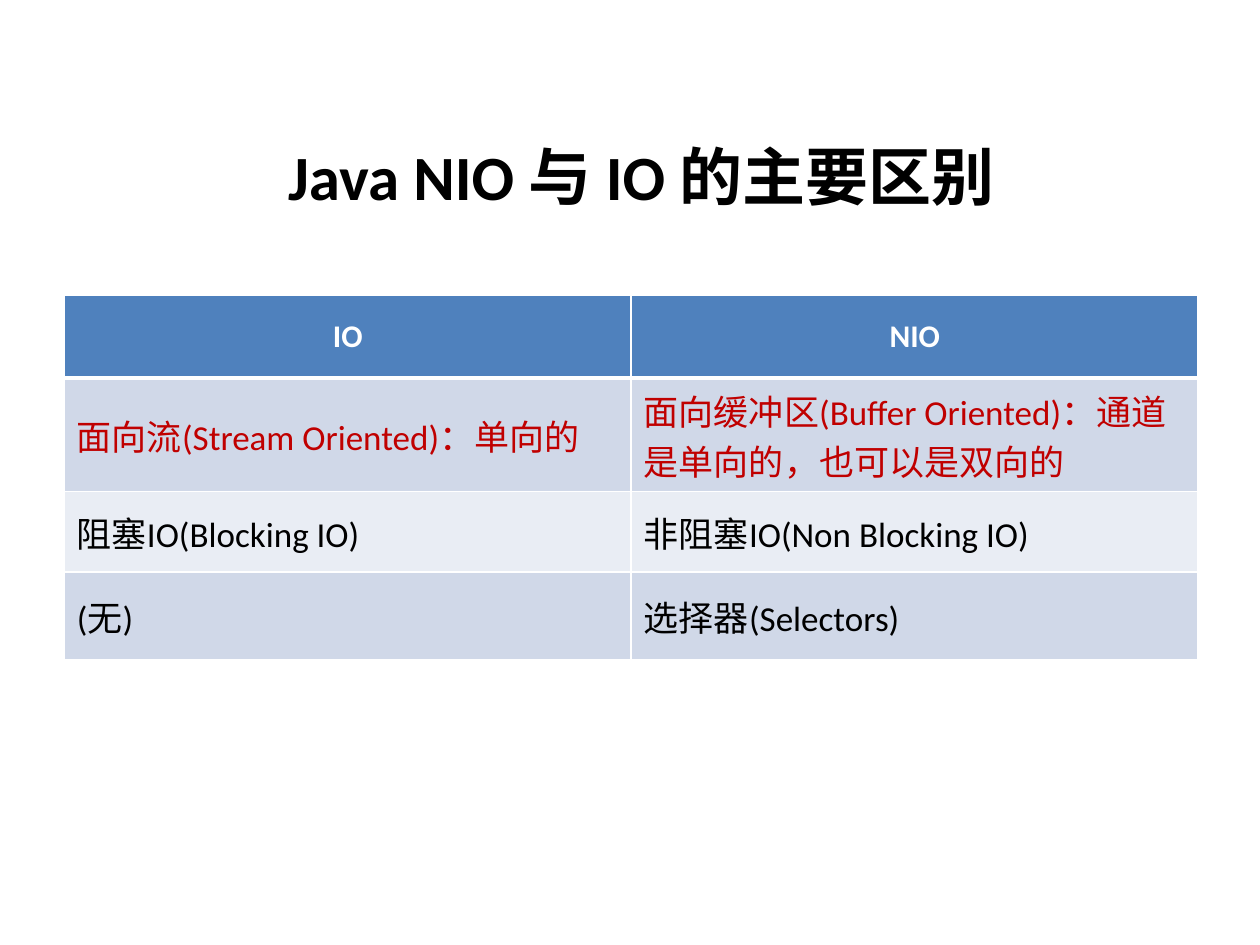
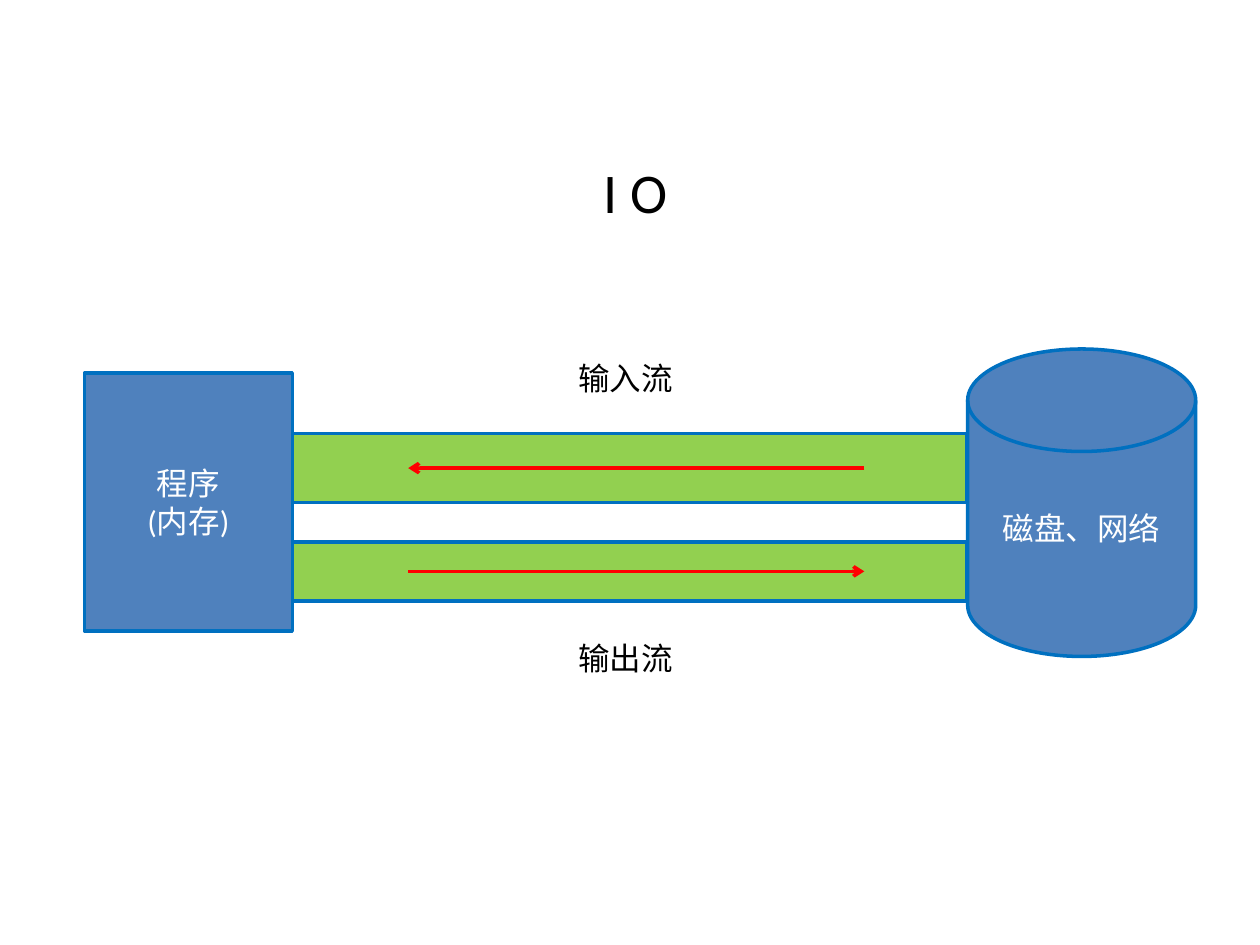
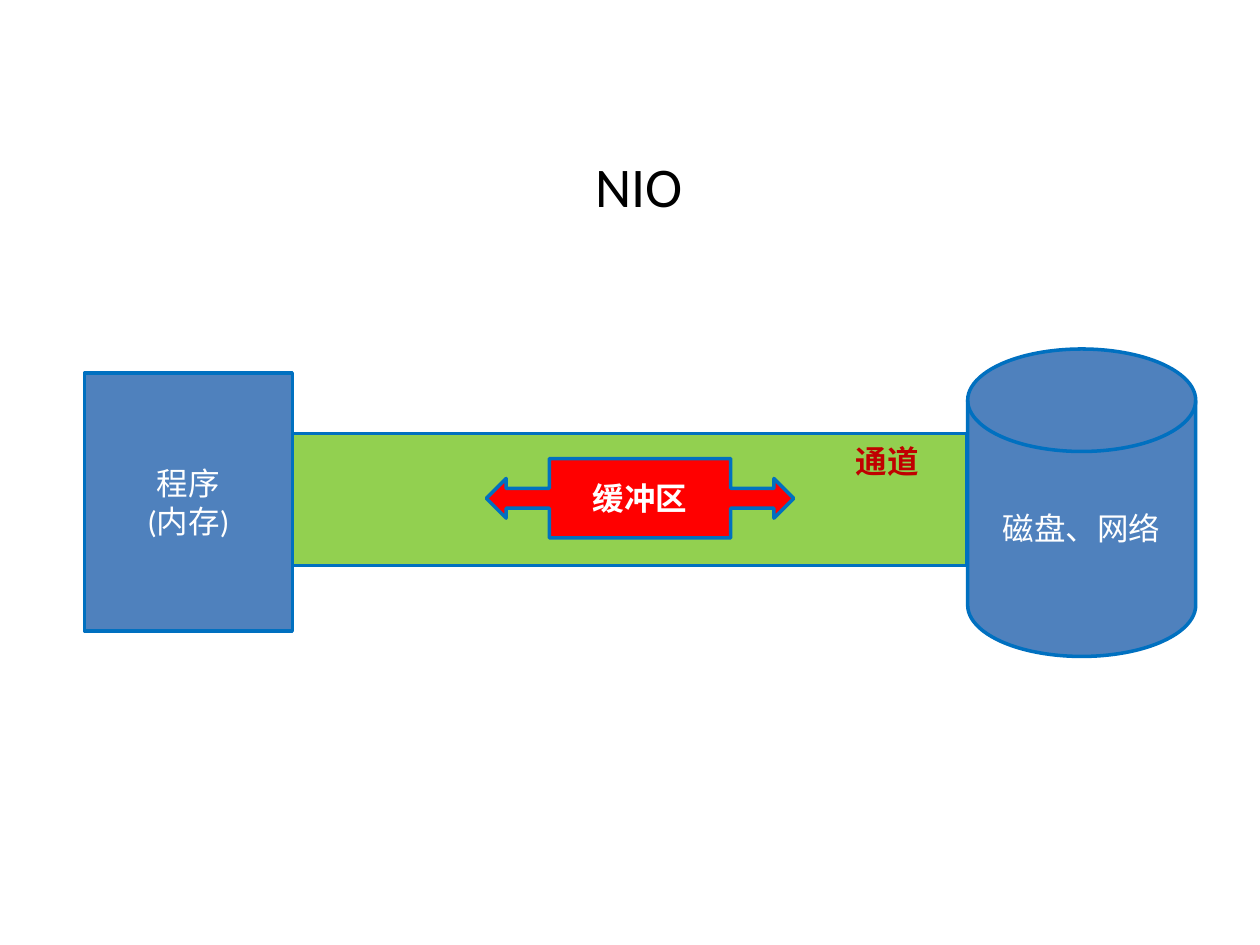
"""Build three slides that compare Java IO with Java NIO."""
from dataclasses import dataclass

from lxml.etree import SubElement
from pptx import Presentation
from pptx.dml.color import RGBColor
from pptx.enum.shapes import MSO_CONNECTOR, MSO_SHAPE
from pptx.enum.text import MSO_ANCHOR, PP_ALIGN
from pptx.oxml.ns import qn
from pptx.util import Inches, Pt


@dataclass(frozen=True)
class Theme:
    latin: str = "Calibri"
    asian: str = "Noto Sans CJK SC"
    white: str = "FFFFFF"
    black: str = "000000"
    blue: str = "4F81BD"
    outline: str = "0070C0"
    green: str = "92D050"
    red: str = "FF0000"
    dark_red: str = "C00000"
    bands: tuple = ("D0D8E8", "E9EDF4")
    title: int = 36
    heading: int = 32
    cell: int = 20
    label: int = 18
    line: int = 2


THEME = Theme()

TITLE = ("Java NIO 与 IO 的主要区别", (0.59, 0.92, 9, 0.94))
COMPARISON = [
    ("IO", "NIO"),
    ("面向流(Stream Oriented)：单向的",
     "面向缓冲区(Buffer Oriented)：通道是单向的，也可以是双向的"),
    ("阻塞IO(Blocking IO)", "非阻塞IO(Non Blocking IO)"),
    ("(无)", "选择器(Selectors)"),
]
ROW_HEIGHTS = (0.66, 0.9, 0.64, 0.7)
TABLE_PLACE = (0.51, 2.34, 9, sum(ROW_HEIGHTS))
HIGHLIGHTED_ROW = 1

ENDPOINTS = [
    (MSO_SHAPE.RECTANGLE, (0.67, 2.96, 1.65, 2.05), "程序\n(内存)"),
    (MSO_SHAPE.FLOWCHART_MAGNETIC_DISK, (7.68, 2.77, 1.81, 2.44), "磁盘、网络"),
]
PIPE_LEFT, PIPE_WIDTH = 2.32, 5.35
ARROW_LEFT, ARROW_RIGHT = 3.24, 6.86
STREAMS = [
    {"label": "输入流", "label_top": 2.8, "top": 3.44, "height": 0.55,
     "start": ARROW_RIGHT, "end": ARROW_LEFT},
    {"label": "输出流", "label_top": 5.02, "top": 4.3, "height": 0.47,
     "start": ARROW_LEFT, "end": ARROW_RIGHT},
]
STREAM_HEADING = ("I O", (3.63, 1.2, 2.83, 0.64))
CHANNEL_HEADING = ("NIO", (3.66, 1.15, 2.83, 0.64))
CHANNEL = (3.44, 1.05)
CHANNEL_LABEL = ("通道", (6.5, 3.46, 1.08, 0.4))
BUFFER = ("缓冲区", (3.86, 3.64, 2.44, 0.63), (0.25, 0.25, 0.25, 0.59))


def inches(place):
    return [Inches(length) for length in place]


def color(value):
    return RGBColor.from_string(value)


def write(frame, text, size, text_color, bold=False, align=PP_ALIGN.CENTER,
          latin=THEME.latin):
    frame.text = text
    for paragraph in frame.paragraphs:
        paragraph.alignment = align
        font = paragraph.font
        font.name, font.size, font.bold = latin, Pt(size), bold
        font.color.rgb = color(text_color)
        properties = paragraph._p.pPr.find(qn("a:defRPr"))
        SubElement(properties, qn("a:ea"), typeface=THEME.asian)


def add_text(page, text, place, size, text_color=THEME.black,
             anchor=MSO_ANCHOR.TOP, **style):
    box = page.shapes.add_textbox(*inches(place))
    box.text_frame.word_wrap = True
    box.text_frame.vertical_anchor = anchor
    write(box.text_frame, text, size, text_color, **style)


def add_block(page, kind, place, fill, text="", **style):
    block = page.shapes.add_shape(kind, *inches(place))
    block.shadow.inherit = False
    block.fill.solid()
    block.fill.fore_color.rgb = color(fill)
    block.line.color.rgb = color(THEME.outline)
    block.line.width = Pt(THEME.line)
    if text:
        block.text_frame.vertical_anchor = MSO_ANCHOR.MIDDLE
        write(block.text_frame, text, THEME.label, THEME.white, **style)
    return block


def add_pipe(page, top, height):
    add_block(page, MSO_SHAPE.RECTANGLE, (PIPE_LEFT, top, PIPE_WIDTH, height),
              THEME.green)


def add_arrow(page, start, end, height):
    arrow = page.shapes.add_connector(
        MSO_CONNECTOR.STRAIGHT, *inches((start, height, end, height)))
    arrow.line.color.rgb = color(THEME.red)
    arrow.line.width = Pt(THEME.line)
    properties = arrow._element.spPr
    SubElement(properties.find(qn("a:ln")), qn("a:tailEnd"), type="arrow")
    SubElement(properties, qn("a:effectLst"))


def set_borders(cell, row):
    widths = {"lnL": 1, "lnR": 1, "lnT": 3 if row == 1 else 1,
              "lnB": 3 if row == 0 else 1}
    properties = cell._tc.get_or_add_tcPr()
    for side, width in widths.items():
        line = SubElement(properties, qn(f"a:{side}"), w=str(Pt(width)))
        fill = SubElement(line, qn("a:solidFill"))
        SubElement(fill, qn("a:srgbClr"), val=THEME.white)


def style_cell(cell, row, text):
    set_borders(cell, row)
    cell.vertical_anchor = MSO_ANCHOR.MIDDLE
    cell.fill.solid()
    if row == 0:
        cell.fill.fore_color.rgb = color(THEME.blue)
        write(cell.text_frame, text, THEME.label, THEME.white, bold=True)
    else:
        cell.fill.fore_color.rgb = color(THEME.bands[(row - 1) % 2])
        text_color = THEME.dark_red if row == HIGHLIGHTED_ROW else THEME.black
        write(cell.text_frame, text, THEME.cell, text_color,
              align=PP_ALIGN.LEFT)


def add_page(deck):
    return deck.slides.add_slide(deck.slide_layouts[6])


def add_diagram_page(deck, heading):
    page = add_page(deck)
    for kind, place, text in ENDPOINTS:
        add_block(page, kind, place, THEME.blue, text)
    add_text(page, *heading, THEME.heading)
    return page


def build_comparison(deck):
    page = add_page(deck)
    add_text(page, *TITLE, THEME.title, anchor=MSO_ANCHOR.MIDDLE, bold=True)
    table = page.shapes.add_table(
        len(COMPARISON), len(COMPARISON[0]), *inches(TABLE_PLACE)).table
    for row, (height, texts) in enumerate(zip(ROW_HEIGHTS, COMPARISON)):
        table.rows[row].height = Inches(height)
        for column, text in enumerate(texts):
            style_cell(table.cell(row, column), row, text)


def build_streams(deck):
    page = add_diagram_page(deck, STREAM_HEADING)
    for stream in STREAMS:
        add_pipe(page, stream["top"], stream["height"])
        add_arrow(page, stream["start"], stream["end"],
                  stream["top"] + stream["height"] / 2)
        add_text(page, stream["label"], (4.49, stream["label_top"], 1.02, 0.4),
                 THEME.label, align=PP_ALIGN.LEFT)


def build_channel(deck):
    page = add_diagram_page(deck, CHANNEL_HEADING)
    add_pipe(page, *CHANNEL)
    text, place, adjustments = BUFFER
    buffer = add_block(page, MSO_SHAPE.LEFT_RIGHT_ARROW_CALLOUT, place,
                       THEME.red, text, bold=True, latin=THEME.asian)
    for index, value in enumerate(adjustments):
        buffer.adjustments[index] = value
    add_text(page, *CHANNEL_LABEL, THEME.label, THEME.dark_red, bold=True,
             latin=THEME.asian)


def main():
    deck = Presentation()
    deck.slide_width, deck.slide_height = Inches(10), Inches(7.5)
    build_comparison(deck)
    build_streams(deck)
    build_channel(deck)
    deck.save("out.pptx")


if __name__ == "__main__":
    main()
